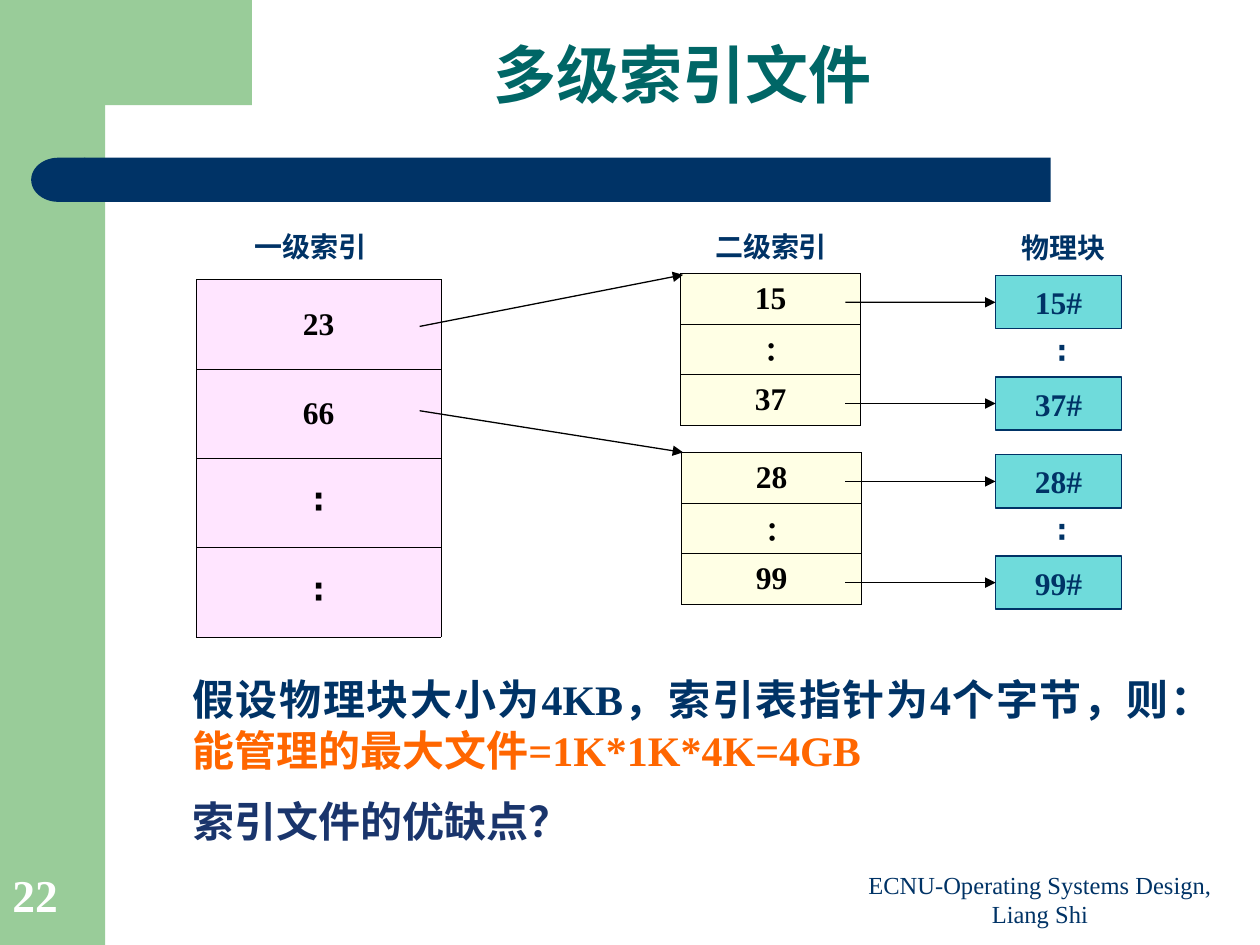
from lxml.etree import SubElement
from pptx import Presentation
from pptx.dml.color import RGBColor
from pptx.enum.shapes import MSO_CONNECTOR, MSO_SHAPE
from pptx.enum.text import MSO_ANCHOR, PP_ALIGN
from pptx.oxml.ns import qn
from pptx.util import Cm, Pt

COLORS = {
    "green": "99CC99", "navy": "003366", "title": "006666", "black": "000000",
    "pink": "FFCCFF", "cream": "FFFFCC", "teal": "33CCCC",
    "orange": "FF6600", "indigo": "1A356C", "white": "FFFFFF",
}
SERIF, SANS, CJK = "Times New Roman", "Arial", "Noto Sans CJK SC"
ROW_HEIGHT, BLOCK_HEIGHT = 1.02, 1.07


def rgb(name):
    """Return the named colour."""
    return RGBColor.from_string(COLORS[name])


def paint(fill, color, alpha=100):
    """Fill with a colour of the given opacity in percent."""
    fill.solid()
    fill.fore_color.rgb = rgb(color)
    if alpha < 100:
        srgb = fill._xPr.find(qn("a:solidFill")).find(qn("a:srgbClr"))
        SubElement(srgb, qn("a:alpha"), val=str(alpha * 1000))


def style(paragraph, size, color, font=SERIF, bold=True, align=PP_ALIGN.CENTER):
    """Set alignment and font of a paragraph."""
    paragraph.alignment = align
    face = paragraph.font
    face.size, face.bold, face.name = Pt(size), bold, font
    face.color.rgb = rgb(color)
    face._rPr.find(qn("a:latin")).addnext(
        face._rPr.makeelement(qn("a:ea"), {"typeface": CJK}))


def add_text(slide, box, lines, anchor=MSO_ANCHOR.TOP):
    """Add a text box with one paragraph per (text, style options) pair."""
    frame = slide.shapes.add_textbox(*map(Cm, box)).text_frame
    frame.word_wrap = True
    frame.vertical_anchor = anchor
    for index, (text, options) in enumerate(lines):
        paragraph = frame.add_paragraph() if index else frame.paragraphs[0]
        paragraph.text = text
        style(paragraph, **options)
    return frame


def add_panel(slide, kind, box, color, alpha=100):
    """Add a filled shape without an outline."""
    panel = slide.shapes.add_shape(kind, *map(Cm, box))
    panel.shadow.inherit = False
    paint(panel.fill, color, alpha)
    panel.line.fill.background()
    return panel


def add_decoration(slide):
    """Draw the green side band and the navy title bar."""
    add_panel(slide, MSO_SHAPE.RECTANGLE, (0, 0, 2.12, 19.05), "green")
    outline = [(5.08, 0), (5.08, 2.12), (2.12, 2.12), (1.87, 2.34),
               (1.7, 2.95), (1.7, 3.25), (1.27, 3.25)]
    builder = slide.shapes.build_freeform(Cm(1.27), 0)
    builder.add_line_segments([(Cm(x), Cm(y)) for x, y in outline])
    corner = builder.convert_to_shape()
    corner.shadow.inherit = False
    paint(corner.fill, "green")
    corner.line.fill.background()
    bar = add_panel(slide, MSO_SHAPE.ROUNDED_RECTANGLE, (1.7, 3.18, 19.48, 0.89), "navy")
    bar.adjustments[0] = 0
    cap = add_panel(slide, MSO_SHAPE.FLOWCHART_DELAY, (0.63, 3.18, 1.09, 0.89), "navy")
    cap._element.spPr.find(qn("a:xfrm")).set("flipH", "1")


def add_border(cell):
    """Draw a thin black border round a cell."""
    properties = cell._tc.get_or_add_tcPr()
    for side in ("lnL", "lnR", "lnT", "lnB"):
        edge = SubElement(properties, qn(f"a:{side}"), w=str(Pt(0.45)))
        solid = SubElement(edge, qn("a:solidFill"))
        SubElement(solid, qn("a:srgbClr"), val=COLORS["black"])


def add_index(slide, left, top, width, row_height, entries, color, dots_font=SERIF):
    """Add a one-column index table."""
    frame = slide.shapes.add_table(
        len(entries), 1, Cm(left), Cm(top), Cm(width), Cm(row_height * len(entries)))
    index = frame.table
    index.first_row = index.horz_banding = False
    for row, entry in enumerate(entries):
        index.rows[row].height = Cm(row_height)
        cell = index.cell(row, 0)
        cell.text = entry
        cell.vertical_anchor = MSO_ANCHOR.MIDDLE
        cell.margin_top = cell.margin_bottom = 0
        style(cell.text_frame.paragraphs[0], 18, "black",
              dots_font if entry == "∶" else SERIF)
        add_border(cell)
        paint(cell.fill, color, 50)


def add_arrow(slide, start, end):
    """Add a thin black arrow between two points."""
    arrow = slide.shapes.add_connector(
        MSO_CONNECTOR.STRAIGHT, *map(Cm, (*start, *end)))
    arrow.line.color.rgb = rgb("black")
    arrow.line.width = Pt(0.75)
    SubElement(arrow.line._get_or_add_ln(), qn("a:tailEnd"), type="triangle")
    SubElement(arrow._element.spPr, qn("a:effectLst"))
    return arrow


def add_block(slide, top, number):
    """Add a physical block and the arrow that leads to it."""
    block = add_panel(slide, MSO_SHAPE.RECTANGLE, (20.07, top, 2.54, BLOCK_HEIGHT), "teal", 70)
    block.line.color.rgb = rgb("navy")
    block.line.width = Pt(0.75)
    block.text_frame.text = f"{number}#"
    block.text_frame.vertical_anchor = MSO_ANCHOR.MIDDLE
    style(block.text_frame.paragraphs[0], 18, "navy")
    middle = top + BLOCK_HEIGHT / 2
    add_arrow(slide, (17.04, middle), (20.07, middle)).end_connect(block, 1)


def add_second_level(slide, left, top, first, last):
    """Add a second-level index with its physical blocks."""
    add_index(slide, left, top, 3.63, ROW_HEIGHT, (first, "∶", last), "cream")
    block_top = top + 0.05
    add_block(slide, block_top, first)
    add_block(slide, block_top + 2 * ROW_HEIGHT, last)
    add_text(slide, (20.61, block_top + BLOCK_HEIGHT, 1.6, 0.94),
             [("∶", dict(size=16, color="navy", font=SANS))])


def main():
    """Build the slide on multi-level index files."""
    deck = Presentation()
    deck.slide_width, deck.slide_height = Cm(25.4), Cm(19.05)
    slide = deck.slides.add_slide(deck.slide_layouts[6])
    add_decoration(slide)
    title = add_text(slide, (2.95, 0.2, 21.62, 2.77),
                     [("多级索引文件", dict(size=36, color="title", font=CJK))],
                     MSO_ANCHOR.MIDDLE)
    title.paragraphs[0].line_spacing = 0.9

    for heading, left, top in (("一级索引", 4.5, 4.5), ("二级索引", 13.79, 4.5),
                               ("物理块", 19.69, 4.52)):
        add_text(slide, (left, top, 3.51, 0.94),
                 [(heading, dict(size=16, color="navy", font=SANS))])
    add_index(slide, 3.96, 5.64, 4.93, 1.8, ("23", "66", "∶", "∶"), "pink", "Calibri")
    add_second_level(slide, 13.72, 5.51, "15", "37")
    add_second_level(slide, 13.74, 9.12, "28", "99")
    add_arrow(slide, (8.46, 6.58), (13.77, 5.54))
    add_arrow(slide, (8.46, 8.28), (13.77, 9.12))

    justified = dict(size=24, align=PP_ALIGN.JUSTIFY)
    question = add_text(slide, (3.63, 13.46, 20.22, 4.75), [
        ("假设物理块大小为4KB，索引表指针为4个字节，则：", dict(justified, color="navy")),
        ("能管理的最大文件=1K*1K*4K=4GB", dict(justified, color="orange")),
        ("索引文件的优缺点？", dict(justified, color="indigo", font=CJK)),
    ])
    question.paragraphs[2].space_before = Pt(12)
    add_text(slide, (16.94, 17.53, 8.05, 1.32),
             [("ECNU-Operating Systems Design, Liang Shi",
               dict(size=14, color="navy", bold=False))], MSO_ANCHOR.BOTTOM)
    add_text(slide, (0, 17.35, 2.08, 1.35),
             [("22", dict(size=26, color="white", align=PP_ALIGN.LEFT))],
             MSO_ANCHOR.BOTTOM)
    deck.save("out.pptx")


if __name__ == "__main__":
    main()
